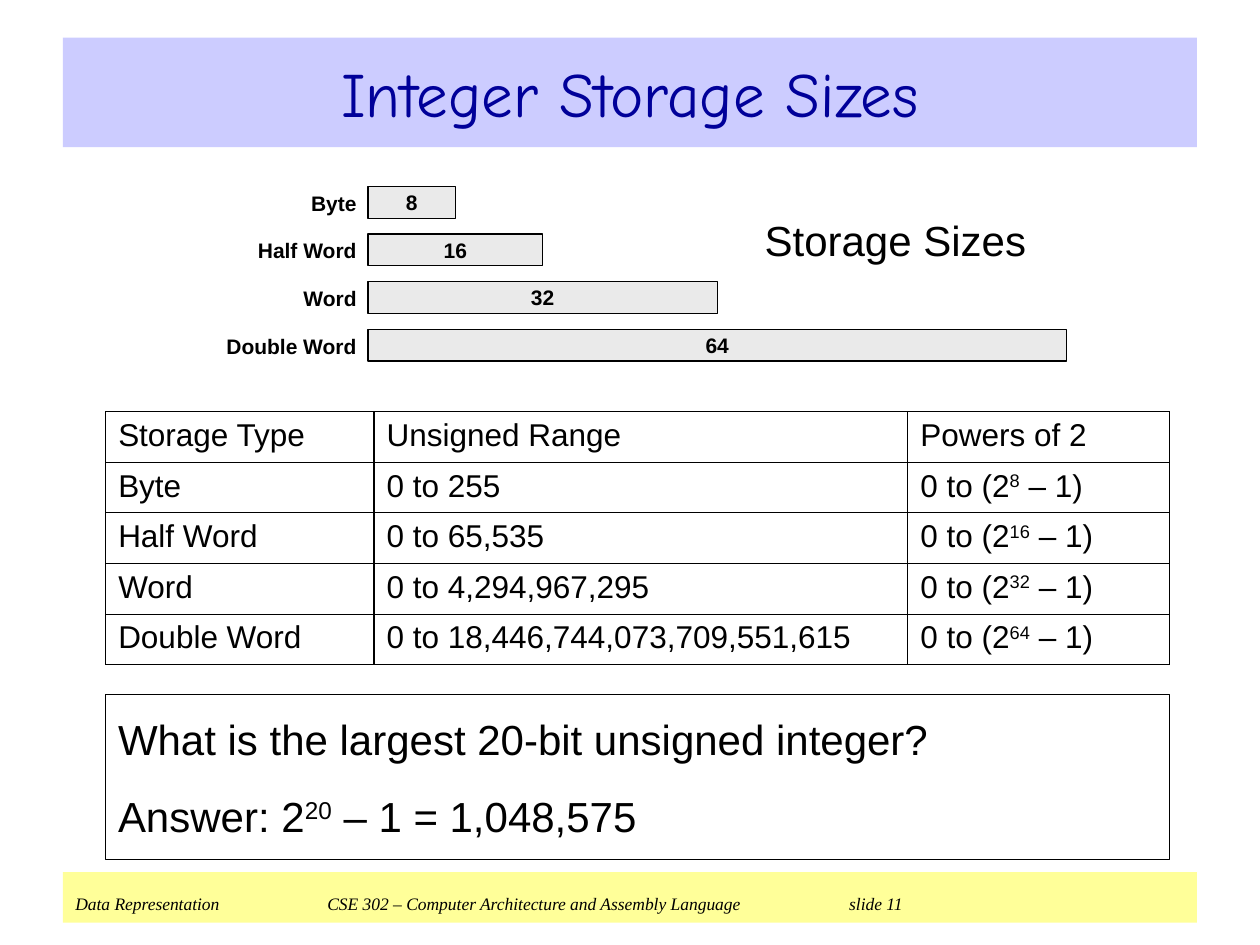
from dataclasses import dataclass

from lxml.etree import SubElement
from pptx import Presentation
from pptx.dml.color import RGBColor
from pptx.enum.shapes import MSO_SHAPE as Preset
from pptx.enum.text import MSO_ANCHOR as Anchor, PP_ALIGN as Align
from pptx.oxml.ns import qn
from pptx.util import Cm, Pt

COLORS = {
    "ink": "000000",
    "title": "000099",
    "title_band": "CCCCFF",
    "footer_band": "FFFF99",
    "bar": "EAEAEA",
}
LINE_WIDTH = Pt(0.75)


@dataclass(frozen=True)
class Box:
    left: float
    top: float
    width: float
    height: float


@dataclass(frozen=True)
class Style:
    size: float
    font: str = "Arial"
    color: str = "ink"
    bold: bool = False
    italic: bool = False


@dataclass(frozen=True)
class Piece:
    text: str
    raised: bool = False


@dataclass(frozen=True)
class Storage:
    name: str
    bits: int
    unsigned_range: str


STORAGES = [
    Storage("Byte", 8, "0 to 255"),
    Storage("Half Word", 16, "0 to 65,535"),
    Storage("Word", 32, "0 to 4,294,967,295"),
    Storage("Double Word", 64, "0 to 18,446,744,073,709,551,615"),
]
HEADERS = ["Storage Type", "Unsigned Range", "Powers of 2"]
COLUMN_WIDTHS = [5.41, 10.76, 5.28]
ROW_HEIGHT = 1.02

TITLE = Style(36, "Comic Neue", "title")
LARGE = Style(24)
CELL = Style(18)
BAR_LABEL = Style(12, bold=True)
FOOTER = Style(10, "Times New Roman", italic=True)


def rgb(name: str) -> RGBColor:
    return RGBColor.from_string(COLORS[name])


def power_of_two(before: str, exponent: int, after: str) -> list[Piece]:
    return [Piece(before + "2"), Piece(str(exponent), raised=True), Piece(after)]


def write_runs(paragraph, pieces: list[Piece], style: Style) -> None:
    for piece in pieces:
        run = paragraph.add_run()
        run.text = piece.text
        font = run.font
        font.name, font.size = style.font, Pt(style.size)
        font.bold, font.italic = style.bold, style.italic
        font.color.rgb = rgb(style.color)
        if piece.raised:
            run._r.get_or_add_rPr().set("baseline", "30000")


def add_box(shapes, box: Box, lines: list[list[Piece]], style: Style,
            align=Align.LEFT, anchor=Anchor.MIDDLE, fill: str | None = None,
            outlined: bool = False, side_inset: float = 0.25,
            end_inset: float = 0.13, gap: float = 0):
    """Add a rectangle, or a plain text box when it has no fill or outline."""
    place = [Cm(value) for value in (box.left, box.top, box.width, box.height)]
    if fill or outlined:
        shape = shapes.add_shape(Preset.RECTANGLE, *place)
        shape.shadow.inherit = False
        if fill:
            shape.fill.solid()
            shape.fill.fore_color.rgb = rgb(fill)
        else:
            shape.fill.background()
        if outlined:
            shape.line.color.rgb = rgb("ink")
            shape.line.width = LINE_WIDTH
        else:
            shape.line.fill.background()
    else:
        shape = shapes.add_textbox(*place)
    frame = shape.text_frame
    frame.word_wrap = True
    frame.vertical_anchor = anchor
    frame.margin_left = frame.margin_right = Cm(side_inset)
    frame.margin_top = frame.margin_bottom = Cm(end_inset)
    for index, pieces in enumerate(lines):
        paragraph = frame.add_paragraph() if index else frame.paragraphs[0]
        paragraph.alignment = align
        if index:
            paragraph.space_before = Pt(gap)
        write_runs(paragraph, pieces, style)
    return shape


def add_tab_stops(paragraph, positions: list[float]) -> None:
    tab_list = SubElement(paragraph._p.get_or_add_pPr(), qn("a:tabLst"))
    for position in positions:
        SubElement(tab_list, qn("a:tab"), pos=str(int(Cm(position))), algn="l")


def add_bars(slide) -> None:
    shapes = slide.shapes.add_group_shape().shapes
    for index, storage in enumerate(STORAGES):
        top = 3.76 + 0.96 * index
        add_box(shapes, Box(4.22, top, 2.97, 0.66), [[Piece(storage.name)]],
                BAR_LABEL, Align.RIGHT, side_inset=0, end_inset=0)
        add_box(shapes, Box(7.42, top, 0.22 * storage.bits, 0.64),
                [[Piece(str(storage.bits))]], BAR_LABEL, Align.CENTER,
                fill="bar", outlined=True, side_inset=0, end_inset=0)


def add_cell_borders(cell) -> None:
    properties = cell._tc.get_or_add_tcPr()
    for index, side in enumerate(("lnL", "lnR", "lnT", "lnB")):
        line = properties.makeelement(qn(f"a:{side}"), {"w": str(int(LINE_WIDTH))})
        fill = SubElement(line, qn("a:solidFill"))
        SubElement(fill, qn("a:srgbClr"), val=COLORS["ink"])
        properties.insert(index, line)


def add_range_table(slide) -> None:
    rows = [[[Piece(header)] for header in HEADERS]]
    rows += [[[Piece(storage.name)], [Piece(storage.unsigned_range)],
              power_of_two("0 to (", storage.bits, " – 1)")]
             for storage in STORAGES]
    table = slide.shapes.add_table(
        len(rows), len(HEADERS), Cm(2.13), Cm(8.3),
        Cm(sum(COLUMN_WIDTHS)), Cm(ROW_HEIGHT * len(rows))).table
    table.first_row = table.horz_banding = False
    for column, width in zip(table.columns, COLUMN_WIDTHS):
        column.width = Cm(width)
    for row_index, row in enumerate(rows):
        table.rows[row_index].height = Cm(ROW_HEIGHT)
        for column_index, pieces in enumerate(row):
            cell = table.cell(row_index, column_index)
            cell.fill.background()
            write_runs(cell.text_frame.paragraphs[0], pieces, CELL)
            add_cell_borders(cell)


def main() -> None:
    presentation = Presentation()
    presentation.slide_width, presentation.slide_height = Cm(25.4), Cm(19.05)
    slide = presentation.slides.add_slide(presentation.slide_layouts[6])
    shapes = slide.shapes

    # Footer band
    footer = add_box(
        shapes, Box(1.27, 17.58, 22.86, 1.02),
        [[Piece("Data Representation\t"),
          Piece("CSE 302 – Computer Architecture and Assembly Language\t"),
          Piece("slide 11")]],
        FOOTER, anchor=Anchor.BOTTOM, fill="footer_band", end_inset=0.18)
    add_tab_stops(footer.text_frame.paragraphs[0], [5.08, 15.6])

    # Title band
    add_box(shapes, Box(1.27, 0.76, 22.86, 2.21), [[Piece("Integer Storage Sizes")]],
            TITLE, Align.CENTER, fill="title_band")

    # Question and answer
    add_box(shapes, Box(2.13, 14, 21.45, 3.33),
            [[Piece("What is the largest 20-bit unsigned integer?")],
             power_of_two("Answer: ", 20, " – 1 = 1,048,575")],
            LARGE, outlined=True, end_inset=0.38, gap=15)

    # Ranges, size bars and their caption
    add_range_table(slide)
    add_bars(slide)
    add_box(shapes, Box(15.09, 3.94, 5.92, 1.78), [[Piece("Storage Sizes")]],
            LARGE, Align.CENTER, side_inset=0, end_inset=0.38)

    presentation.save("out.pptx")


if __name__ == "__main__":
    main()
